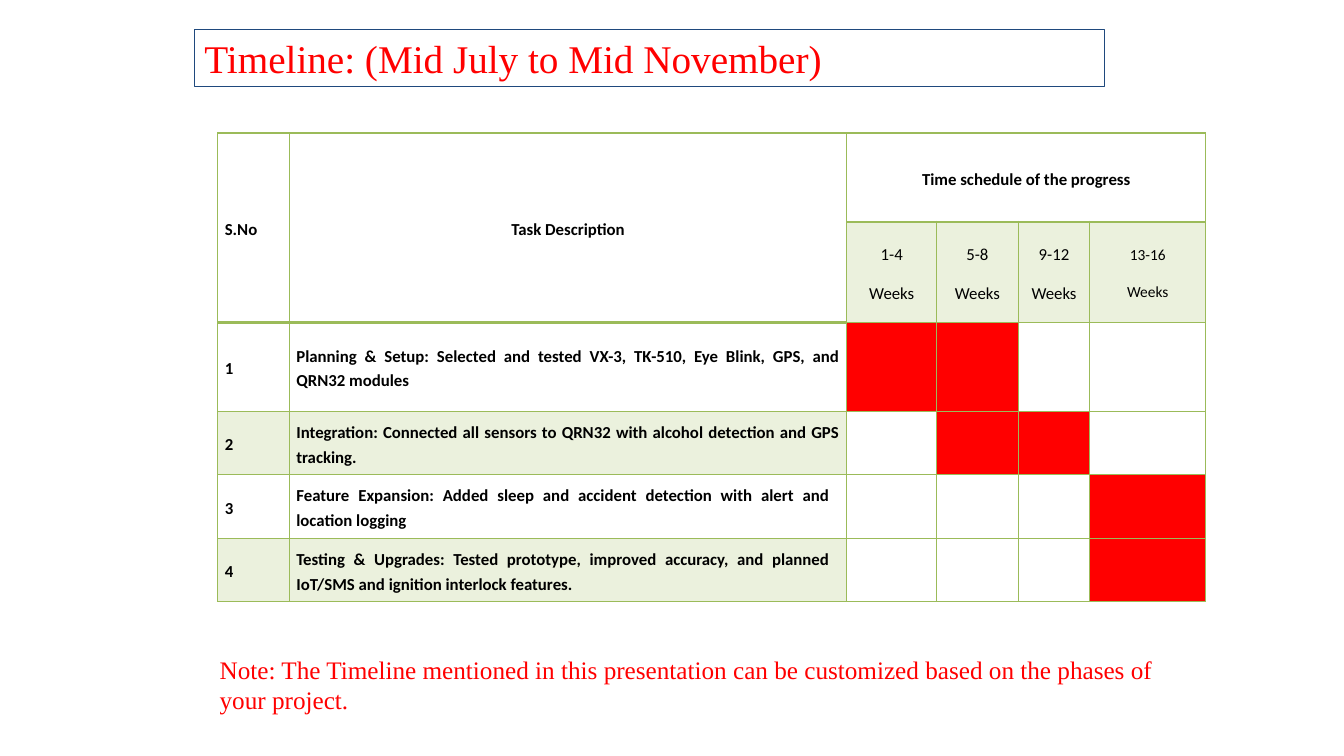
from lxml import etree
from pptx import Presentation
from pptx.dml.color import RGBColor
from pptx.enum.shapes import MSO_SHAPE
from pptx.enum.text import MSO_ANCHOR, PP_ALIGN
from pptx.oxml.ns import qn
from pptx.util import Inches, Pt

LEFT, CENTER, JUSTIFY = PP_ALIGN.LEFT, PP_ALIGN.CENTER, PP_ALIGN.JUSTIFY
MIDDLE, TOP = MSO_ANCHOR.MIDDLE, MSO_ANCHOR.TOP
RECTANGLE = MSO_SHAPE.RECTANGLE
COLORS = {"red": "FF0000", "navy": "1F497D", "green": "9BBB59",
          "white": "FFFFFF", "black": "000000"}


def write(frame, lines, align, anchor, color, font, spacing=None):
    """Fill a text frame, one paragraph for each line."""
    frame.word_wrap = True
    frame.vertical_anchor = anchor
    for index, line in enumerate(lines):
        para = frame.add_paragraph() if index else frame.paragraphs[0]
        para.alignment = align
        if spacing:
            para.line_spacing, para.space_after = spacing
        span = para.add_run()
        span.text = line
        span.font.color.rgb = RGBColor.from_string(COLORS[color])
        for name, value in font.items():
            setattr(span.font, name, value)


def add_border(cell, side, points):
    """Draw one solid green edge of a cell."""
    edge = etree.SubElement(cell._tc.get_or_add_tcPr(), qn(f"a:ln{side}"), w=str(Pt(points)))
    solid = etree.SubElement(edge, qn("a:solidFill"))
    etree.SubElement(solid, qn("a:srgbClr"), val=COLORS["green"])


deck = Presentation()
deck.slide_width, deck.slide_height = Inches(13.33), Inches(7.5)
page = deck.slides.add_slide(deck.slide_layouts[6])

# Title
title = page.shapes.add_shape(RECTANGLE, Inches(1.93), Inches(0.29), Inches(9.03), Inches(0.57))
title.shadow.inherit = False
title.fill.background()
title.line.color.rgb = RGBColor.from_string(COLORS["navy"])
title.line.width = Pt(0.75)
write(title.text_frame, ["Timeline: (Mid July to Mid November)"], LEFT, TOP, "red",
      {"name": "Times New Roman", "size": Pt(28)})

# Schedule contents: task, right margin, weeks columns in progress
weeks = ["1-4", "5-8", "9-12", "13-16"]
tasks = [
    ("Planning & Setup: Selected and tested VX-3, TK-510, Eye Blink, GPS, and QRN32 modules",
     0.07, (0, 1)),
    ("Integration: Connected all sensors to QRN32 with alcohol detection and GPS tracking.",
     0.07, (1, 2)),
    ("Feature Expansion: Added sleep and accident detection with alert and location logging",
     0.17, (3,)),
    ("Testing & Upgrades: Tested prototype, improved accuracy, and planned IoT/SMS and "
     "ignition interlock features.", 0.17, (3,)),
]
widths = [0.71, 5.53, 0.89, 0.81, 0.71, 1.15]
heights = [0.88, 1, 0.88, 0.63, 0.63, 0.63]

# Table grid
table = page.shapes.add_table(len(heights), len(widths), Inches(2.16), Inches(1.32),
                              Inches(9.79), Inches(4.66)).table
table.first_row = table.horz_banding = False
for column, width in zip(table.columns, widths):
    column.width = Inches(width)
for row, height in zip(table.rows, heights):
    row.height = Inches(height)
for first, last in [((0, 0), (1, 0)), ((0, 1), (1, 1)), ((0, 2), (0, 5))]:
    table.cell(*first).merge(table.cell(*last))

# Cell texts
texts = {(0, 0): (["S.No"], LEFT), (0, 1): (["Task Description"], CENTER),
         (0, 2): (["Time schedule of the progress"], CENTER)}
for index, label in enumerate(weeks):
    texts[1, index + 2] = ([label, "Weeks"], CENTER)
for index, (task, margin, active) in enumerate(tasks):
    texts[index + 2, 0] = ([str(index + 1)], JUSTIFY)
    texts[index + 2, 1] = ([task], JUSTIFY)

# Cell borders, fills and text
for row in range(len(heights)):
    for col in range(len(widths)):
        cell = table.cell(row, col)
        under_header = row == 0 or (row == 1 and col < 2)
        for side in "LRTB":
            add_border(cell, side, 2 if side == "B" and under_header else 1)

        in_schedule = row > 1 and col > 1
        tinted = (row == 1 and col > 1) or (row in (3, 5) and col < 2)
        if in_schedule or tinted:
            active = in_schedule and col - 2 in tasks[row - 2][2]
            fill = "green" if tinted else "red" if active else "white"
            cell.fill.solid()
            cell.fill.fore_color.rgb = RGBColor.from_string(COLORS[fill])
        else:
            cell.fill.background()
        if tinted:
            color = cell._tc.tcPr.find(qn("a:solidFill")).find(qn("a:srgbClr"))
            etree.SubElement(color, qn("a:alpha"), val="20000")

        if (row, col) in texts:
            cell.margin_left = cell.margin_right = Inches(0.07)
            cell.margin_top = cell.margin_bottom = 0
            if row > 1 and col == 1:
                cell.margin_right = Inches(tasks[row - 2][1])
            lines, align = texts[row, col]
            font = {"name": "Calibri", "size": Pt(11 if (row, col) == (1, 5) else 12),
                    "bold": row != 1}
            write(cell.text_frame, lines, align, MIDDLE, "black", font, (1.2, Pt(10)))
            cell.vertical_anchor = MIDDLE

# Note
note = page.shapes.add_textbox(Inches(2.08), Inches(6.44), Inches(9.95), Inches(0.71))
write(note.text_frame,
      ["Note: The Timeline mentioned in this presentation can be customized based on "
       "the phases of your project."], LEFT, TOP, "red",
      {"name": "Times New Roman", "size": Pt(18)})

deck.save("out.pptx")
